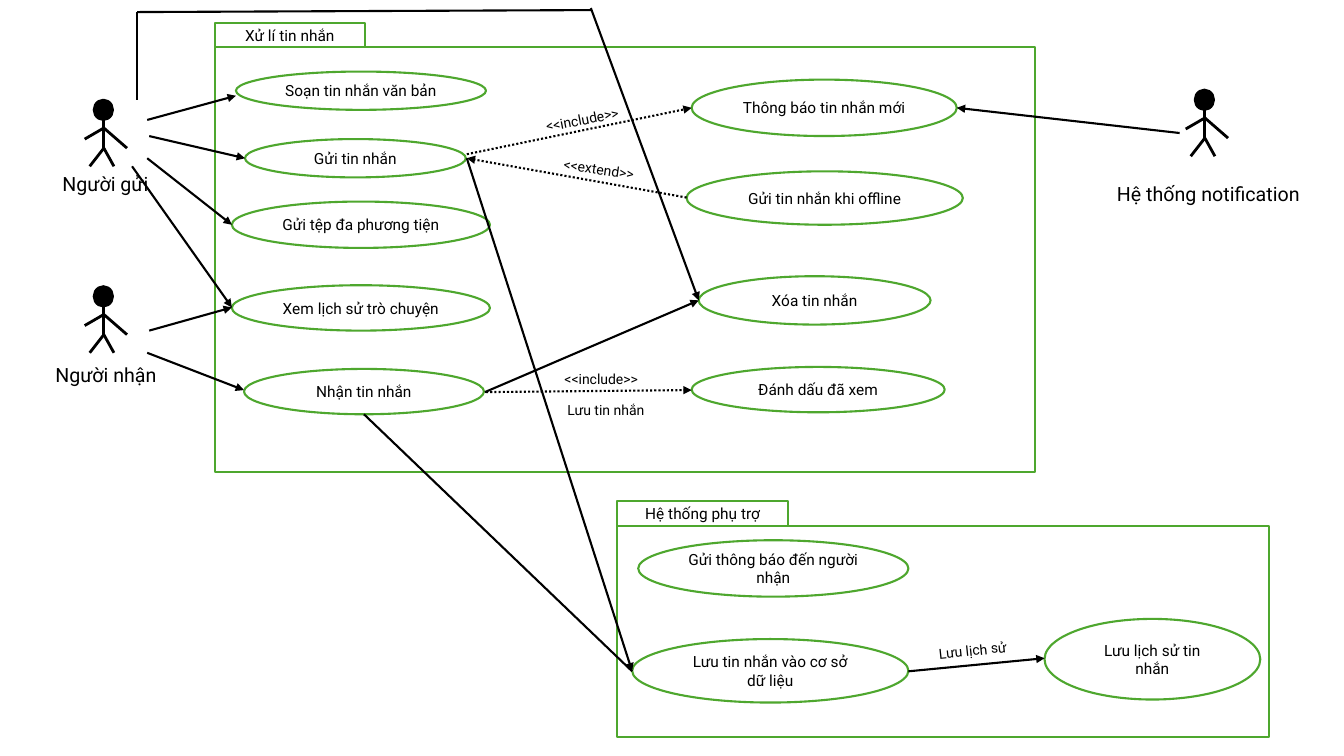
from dataclasses import dataclass

import pptx
import pptx.dml.color
import pptx.enum.dml
import pptx.enum.shapes
import pptx.enum.text
import pptx.oxml
import pptx.oxml.ns
import pptx.util

PX = 9144  # 100 px to the inch
GREEN, BLACK, WHITE = "4EA72E", "000000", "FFFFFF"
FONT = "Roboto"
OVAL = pptx.enum.shapes.MSO_SHAPE.OVAL
RECTANGLE = pptx.enum.shapes.MSO_SHAPE.RECTANGLE

Point = tuple[int, int]
Box = tuple[int, int, int, int]


@dataclass
class Actor:
    x: int
    top: int
    name: str
    name_box: Box


@dataclass
class Package:
    title: str
    frame: Box
    tab_width: int
    tab_height: int


@dataclass
class UseCase:
    name: str
    box: Box


@dataclass
class Link:
    start: Point
    end: Point
    arrow: bool = True
    dotted: bool = False


@dataclass
class Label:
    text: str
    box: Box
    rotation: float = 0


ACTORS = [
    Actor(103, 99, "Người gửi", (52, 166, 111, 34)),
    Actor(103, 284, "Người nhận", (45, 355, 135, 34)),
    Actor(1195, 89, "Hệ thống notification", (1098, 176, 213, 34)),
]
PACKAGES = [
    Package("Xử lí tin nhắn", (213, 47, 814, 421), 149, 24),
    Package("Hệ thống phụ trợ", (612, 522, 647, 209), 170, 25),
]
USE_CASES = [
    UseCase("Soạn tin nhắn văn bản", (234, 71, 248, 38)),
    UseCase("Gửi tin nhắn", (243, 138, 219, 38)),
    UseCase("Gửi tệp đa phương tiện", (230, 200, 256, 46)),
    UseCase("Xem lịch sử trò chuyện", (230, 283, 256, 45)),
    UseCase("Nhận tin nhắn", (242, 366, 238, 45)),
    UseCase("Thông báo tin nhắn mới", (686, 79, 263, 56)),
    UseCase("Gửi tin nhắn khi offline", (681, 170, 274, 53)),
    UseCase("Xóa tin nhắn", (693, 274, 230, 48)),
    UseCase("Đánh dấu đã xem", (686, 364, 251, 45)),
    UseCase("Gửi thông báo đến người nhận", (633, 536, 268, 56)),
    UseCase("Lưu tin nhắn vào cơ sở dữ liệu", (627, 634, 274, 63)),
    UseCase("Lưu lịch sử tin nhắn", (1036, 614, 214, 80)),
]
LINKS = [
    Link((146, 119), (234, 95)),
    Link((148, 135), (243, 157)),
    Link((146, 157), (230, 223)),
    Link((131, 165), (230, 305)),
    Link((148, 328), (230, 305)),
    Link((146, 350), (242, 387)),
    Link((136, 99), (136, 12), arrow=False),
    Link((136, 12), (586, 10), arrow=False),
    Link((586, 8), (693, 298)),
    Link((481, 389), (693, 298)),
    Link((463, 157), (627, 666)),
    Link((1170, 132), (949, 107)),
    Link((901, 666), (1036, 653)),
    Link((361, 411), (627, 666), arrow=False),
    Link((463, 153), (686, 107), dotted=True),
    Link((681, 196), (463, 157), dotted=True),
    Link((482, 389), (686, 387), dotted=True),
]
LABELS = [
    Label("<<include>>", (531, 103, 115, 27), 349.1),
    Label("<<include>>", (550, 363, 115, 27)),
    Label("<<extend>>", (549, 156, 112, 27), 8.4),
    Label("Lưu tin nhắn", (553, 393, 129, 27)),
    Label("Lưu lịch sử", (921, 629, 141, 27), 354.1),
]
# Limbs of an actor, measured from the top of the head on its centre line
LIMBS = [
    ((0, 20), (0, 48)),
    ((0, 48), (-14, 66)),
    ((0, 48), (10, 66)),
    ((0, 28), (-19, 39)),
    ((0, 28), (23, 48)),
]


def emu(*lengths: int) -> list[int]:
    return [length * PX for length in lengths]


def color(value: str) -> pptx.dml.color.RGBColor:
    return pptx.dml.color.RGBColor.from_string(value)


def write(shape, text: str, *, size: int, centered: bool = False) -> None:
    frame = shape.text_frame
    frame.word_wrap = True
    paragraph = frame.paragraphs[0]
    paragraph.text = text
    if centered:
        frame.vertical_anchor = pptx.enum.text.MSO_ANCHOR.MIDDLE
        paragraph.alignment = pptx.enum.text.PP_ALIGN.CENTER
    font = paragraph.runs[0].font
    font.name = FONT
    font.size = pptx.util.Pt(size)
    font.color.rgb = color(BLACK)


def add_outline(slide, kind, box: Box, text: str = "", fill: str = WHITE, line: str = GREEN) -> None:
    shape = slide.shapes.add_shape(kind, *emu(*box))
    shape.shadow.inherit = False
    shape.fill.solid()
    shape.fill.fore_color.rgb = color(fill)
    shape.line.color.rgb = color(line)
    shape.line.width = pptx.util.Pt(1.5)
    if text:
        write(shape, text, size=11, centered=True)


def add_label(slide, label: Label, size: int) -> None:
    text_box = slide.shapes.add_textbox(*emu(*label.box))
    text_box.rotation = label.rotation
    write(text_box, label.text, size=size)


def add_link(slide, link: Link, width: float = 1.5) -> None:
    connector = slide.shapes.add_connector(
        pptx.enum.shapes.MSO_CONNECTOR.STRAIGHT, *emu(*link.start, *link.end))
    connector.line.color.rgb = color(BLACK)
    connector.line.width = pptx.util.Pt(width)
    if link.dotted:
        connector.line.dash_style = pptx.enum.dml.MSO_LINE.ROUND_DOT
    if link.arrow:
        head = pptx.oxml.parse_xml(
            f'<a:tailEnd {pptx.oxml.ns.nsdecls("a")} type="triangle"/>')
        connector.line._get_or_add_ln().append(head)
    no_effects = pptx.oxml.parse_xml(f'<a:effectLst {pptx.oxml.ns.nsdecls("a")}/>')
    connector._element.spPr.append(no_effects)


def add_actor(slide, actor: Actor) -> None:
    add_outline(slide, OVAL, (actor.x - 10, actor.top, 19, 20), fill=BLACK, line=BLACK)
    for limb in LIMBS:
        start, end = [(actor.x + dx, actor.top + dy) for dx, dy in limb]
        add_link(slide, Link(start, end, arrow=False), width=2)
    add_label(slide, Label(actor.name, actor.name_box), size=14)


def add_tab(slide, package: Package) -> None:
    left, top = package.frame[:2]
    tab = (left, top - package.tab_height, package.tab_width, package.tab_height)
    add_outline(slide, RECTANGLE, tab, package.title)


def main() -> None:
    deck = pptx.Presentation()
    deck.slide_width, deck.slide_height = emu(1333, 750)
    slide = deck.slides.add_slide(deck.slide_layouts[6])
    for actor in ACTORS:
        add_actor(slide, actor)
    for package in PACKAGES:
        add_outline(slide, RECTANGLE, package.frame)
    for use_case in USE_CASES:
        add_outline(slide, OVAL, use_case.box, use_case.name)
    for link in LINKS:
        add_link(slide, link)
    for label in LABELS:
        add_label(slide, label, size=10)
    for package in PACKAGES:
        add_tab(slide, package)
    deck.save("out.pptx")


if __name__ == "__main__":
    main()
